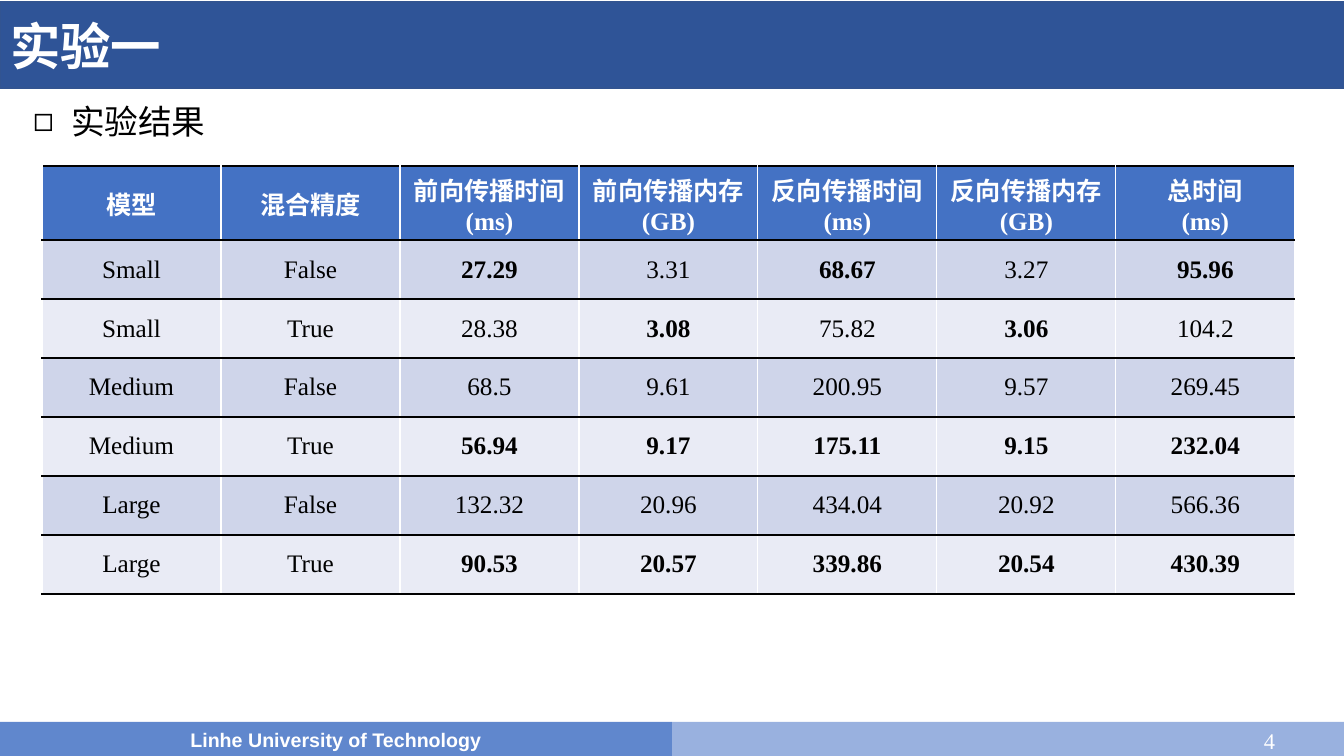
from lxml.etree import SubElement
from pptx import Presentation
from pptx.dml.color import RGBColor
from pptx.enum.shapes import MSO_SHAPE
from pptx.enum.text import MSO_ANCHOR, PP_ALIGN
from pptx.oxml.ns import qn
from pptx.util import Pt

TITLE = "实验一"
BULLET = "实验结果"
FOOTER = "Linhe University of Technology"
PAGE_NUMBER = "4"
HEADERS = ["模型", "混合精度", "前向传播时间\n(ms)", "前向传播内存\n(GB)",
           "反向传播时间\n(ms)", "反向传播内存\n(GB)", "总时间\n(ms)"]
RESULTS = [
    ("Small", False, 27.29, 3.31, 68.67, 3.27, 95.96),
    ("Small", True, 28.38, 3.08, 75.82, 3.06, 104.2),
    ("Medium", False, 68.5, 9.61, 200.95, 9.57, 269.45),
    ("Medium", True, 56.94, 9.17, 175.11, 9.15, 232.04),
    ("Large", False, 132.32, 20.96, 434.04, 20.92, 566.36),
    ("Large", True, 90.53, 20.57, 339.86, 20.54, 430.39),
]
FIRST_VALUE_COLUMN = 2

SERIF, SANS = "Times New Roman", "Arial"
BLACK, WHITE = "000000", "FFFFFF"
HEADER_FILL, BAND_FILLS = "4472C4", ("CFD5EA", "E9EBF5")
TABLE_LEFT, TABLE_TOP, COLUMN_WIDTH = 42, 166, 179
HEADER_HEIGHT, ROW_HEIGHT = 74, 59
# Widths in points of the black rules, from the top of the table down
RULE_WIDTHS = [1.5, 1.5, 1] + [1.5] * 5


def px(length):
    return round(length * 914400 / 100.8)


def color(hex_string):
    return RGBColor.from_string(hex_string)


def place(shape, left, top, width, height):
    shape.left, shape.top = px(left), px(top)
    shape.width, shape.height = px(width), px(height)


def write(text_frame, text, size, hex_color, bold=False, font=SERIF, align=PP_ALIGN.LEFT):
    text_frame.text = text
    for paragraph in text_frame.paragraphs:
        paragraph.alignment = align
        for run in paragraph.runs:
            run.font.name, run.font.size, run.font.bold = font, Pt(size), bold
            run.font.color.rgb = color(hex_color)


def add_bar(slide, left, top, width, height, fill):
    bar = slide.shapes.add_shape(MSO_SHAPE.RECTANGLE, px(left), px(top), px(width), px(height))
    bar.shadow.inherit = False
    bar.fill.solid()
    bar.fill.fore_color.rgb = color(fill)
    bar.line.fill.background()
    return bar


def add_border(cell, side, hex_color, width):
    """Draw one cell side: L, R, T or B, always called in that order."""
    properties = cell._tc.get_or_add_tcPr()
    line = SubElement(properties, qn(f"a:ln{side}"), w=str(Pt(width)))
    fill = SubElement(line, qn("a:solidFill"))
    SubElement(fill, qn("a:srgbClr"), val=hex_color)


def is_best(result, column):
    """Tell whether a value is the lowest among the runs of its model."""
    return column >= FIRST_VALUE_COLUMN and result[column] == min(
        other[column] for other in RESULTS if other[0] == result[0])


def fill_cell(cell, row, text, text_color, bold, fill):
    write(cell.text_frame, text, 18, text_color, bold, align=PP_ALIGN.CENTER)
    cell.vertical_anchor = MSO_ANCHOR.MIDDLE
    for side in "LR":
        add_border(cell, side, WHITE, 1)
    for side, width in zip("TB", RULE_WIDTHS[row:row + 2]):
        add_border(cell, side, BLACK, width)
    cell.fill.solid()
    cell.fill.fore_color.rgb = color(fill)


def add_results_table(slide):
    rows, columns = len(RESULTS) + 1, len(HEADERS)
    height = HEADER_HEIGHT + len(RESULTS) * ROW_HEIGHT
    table = slide.shapes.add_table(rows, columns, px(TABLE_LEFT), px(TABLE_TOP),
                                   px(columns * COLUMN_WIDTH), px(height)).table
    for column in table.columns:
        column.width = px(COLUMN_WIDTH)
    for row, table_row in enumerate(table.rows):
        table_row.height = px(ROW_HEIGHT if row else HEADER_HEIGHT)
    for column, header in enumerate(HEADERS):
        fill_cell(table.cell(0, column), 0, header, WHITE, True, HEADER_FILL)
    for row, result in enumerate(RESULTS, 1):
        for column, value in enumerate(result):
            fill_cell(table.cell(row, column), row, str(value), BLACK,
                      is_best(result, column), BAND_FILLS[(row - 1) % 2])


def main():
    presentation = Presentation()
    presentation.slide_width, presentation.slide_height = px(1344), px(756)
    slide = presentation.slides.add_slide(presentation.slide_layouts[1])
    title, body = slide.placeholders

    title_bar = add_bar(slide, 0, 2, 1344, 86, "2F5497")
    title_bar.line.color.rgb = color("325491")
    title_bar.line.width = Pt(1)
    add_bar(slide, 672, 722, 672, 35, "99B1DF")
    footer_bar = add_bar(slide, 0, 722, 672, 35, "6087CD")
    write(footer_bar.text_frame, FOOTER, 14, WHITE, True, SANS, PP_ALIGN.CENTER)
    footer_bar.text_frame.vertical_anchor = MSO_ANCHOR.MIDDLE

    # Bring the placeholders in front of the bars
    for placeholder in (body, title):
        slide.shapes.element.append(placeholder.element)

    place(body, 23, 100, 1290, 596)
    write(body.text_frame, BULLET, 24, BLACK)
    bullet = body.text_frame.paragraphs[0]
    bullet.line_spacing, bullet.space_before = 0.9, Pt(10)
    properties = bullet._p.get_or_add_pPr()
    properties.set("marL", str(px(38)))
    properties.set("indent", str(px(-38)))
    SubElement(properties, qn("a:buChar"), char="◻")

    place(title, 0, 2, 1301, 86)
    write(title.text_frame, TITLE, 36, WHITE, True)
    title.text_frame.vertical_anchor = MSO_ANCHOR.MIDDLE

    page_box = slide.shapes.add_textbox(px(983), px(722), px(302), px(37))
    page_box.text_frame.word_wrap = True
    page_box.text_frame.vertical_anchor = MSO_ANCHOR.MIDDLE
    write(page_box.text_frame, PAGE_NUMBER, 16, WHITE, align=PP_ALIGN.RIGHT)

    add_results_table(slide)
    presentation.save("out.pptx")


if __name__ == "__main__":
    main()
